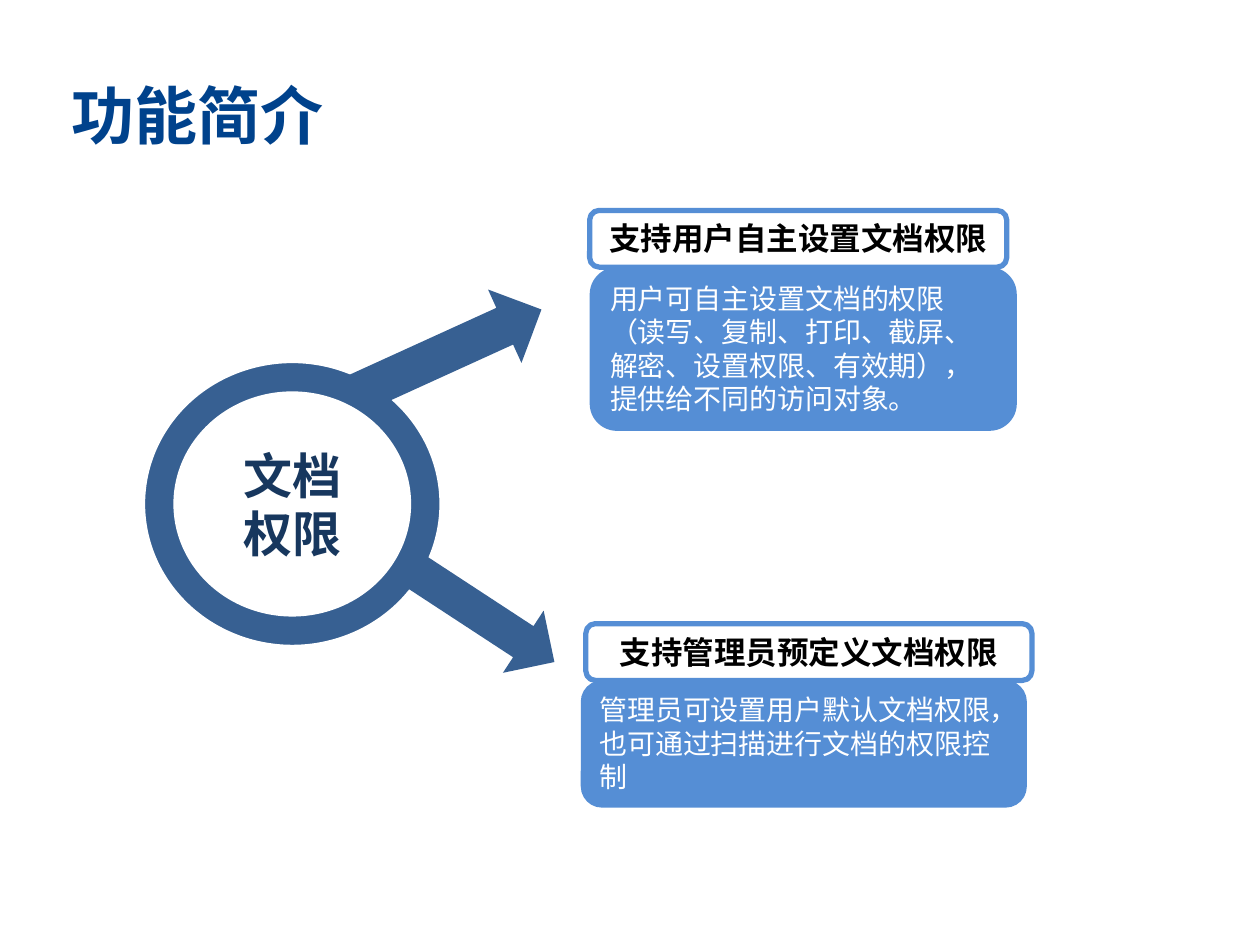
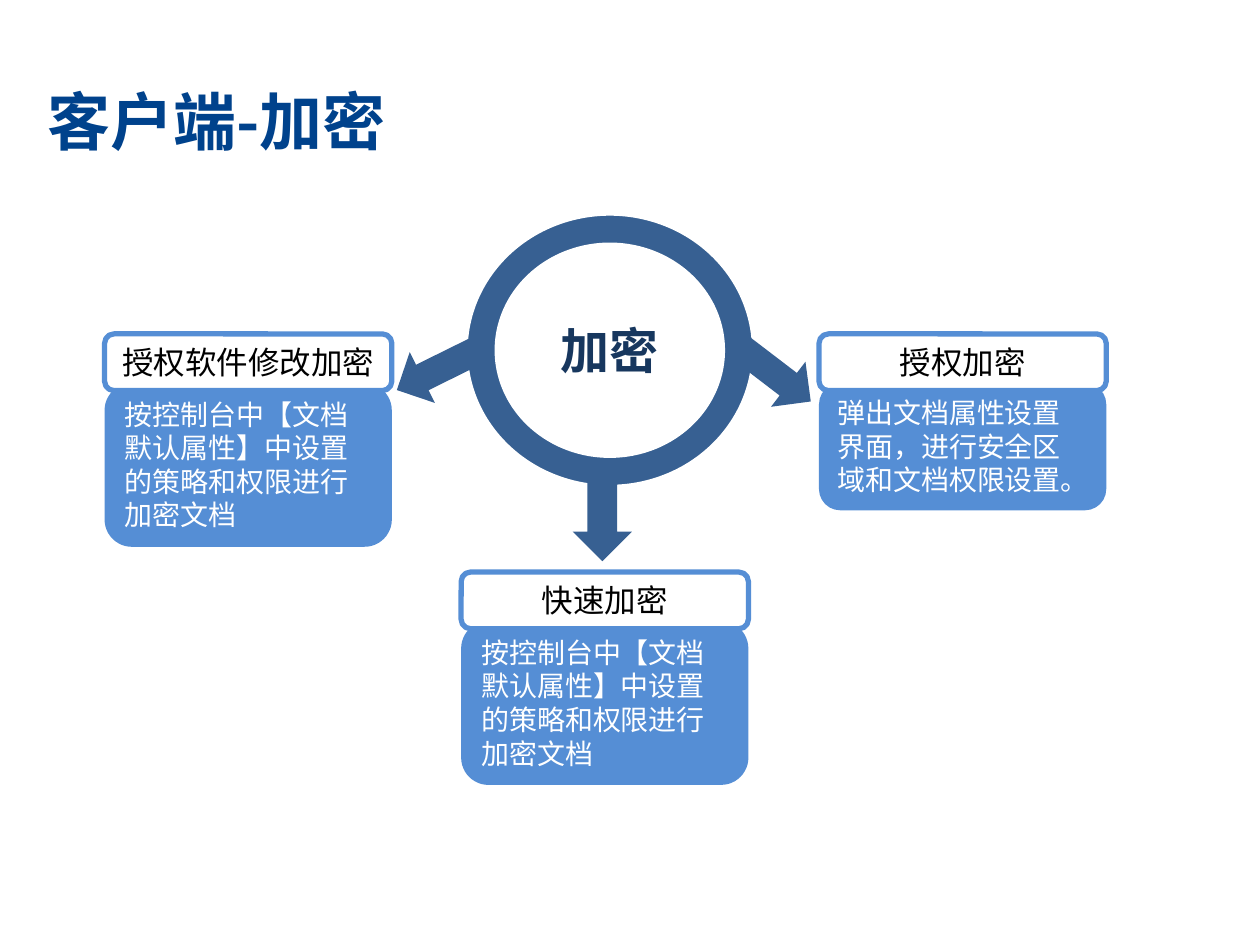
from lxml import etree
from pptx import Presentation
from pptx.dml.color import RGBColor
from pptx.enum.shapes import MSO_SHAPE
from pptx.enum.text import MSO_ANCHOR, PP_ALIGN
from pptx.oxml.ns import qn
from pptx.util import Inches, Pt

WIDE, HIGH = Inches(10), Inches(7.5)
CELL = WIDE / 100  # the slide is a grid of 100 columns by 75 rows

DEEP = RGBColor(0x37, 0x60, 0x92)
SKY = RGBColor(0x55, 0x8E, 0xD5)
NAVY = RGBColor(0x17, 0x37, 0x5E)
ROYAL = RGBColor(0x00, 0x42, 0x8C)
WHITE = RGBColor(0xFF, 0xFF, 0xFF)
BLACK = RGBColor(0x00, 0x00, 0x00)

HEAVY = "Noto Sans CJK SC"
PLAIN = "DejaVu Sans"
LATIN = "Arial"

DONUT = MSO_SHAPE.DONUT
ARROW = MSO_SHAPE.RIGHT_ARROW
ROUND = MSO_SHAPE.ROUNDED_RECTANGLE
TOP, MIDDLE = MSO_ANCHOR.TOP, MSO_ANCHOR.MIDDLE
LEFT, CENTER = PP_ALIGN.LEFT, PP_ALIGN.CENTER

HEAD_ROWS = 4.5


def grid(*cells):
    return [round(n * CELL) for n in cells]


def write(shape, lines, face, size, color, bold=False, align=LEFT,
          anchor=TOP, wrap=True):
    frame = shape.text_frame
    frame.word_wrap = wrap
    frame.vertical_anchor = anchor
    frame.text = "\n".join(lines)
    for para in frame.paragraphs:
        para.alignment = align
        font = para.font
        font.name, font.size, font.bold = face, Pt(size), bold
        font.color.rgb = color
        # Chinese text takes its font from a:ea
        props = para._p.pPr.find(qn("a:defRPr"))
        etree.SubElement(props, qn("a:ea"), typeface=face)


def draw(slide, kind, box, fill, line=None, weight=0):
    shape = slide.shapes.add_shape(kind, *grid(*box))
    shape.shadow.inherit = False
    shape.fill.solid()
    shape.fill.fore_color.rgb = fill
    if line is None:
        shape.line.fill.background()
    else:
        shape.line.color.rgb = line
        shape.line.width = Pt(weight)
    return shape


def title(slide, text, col, row):
    box = slide.shapes.add_textbox(*grid(col, row, 90, 7.1))
    write(box, [text], HEAVY, 36, ROYAL, bold=True, anchor=MIDDLE)


def hub(slide, lines, box):
    ring = draw(slide, DONUT, box, DEEP, WHITE, 1.75)
    ring.adjustments[0] = 0.11
    write(ring, lines, LATIN, 28, NAVY, bold=True, align=CENTER,
          anchor=MIDDLE, wrap=False)


def arrow(slide, box, angle):
    draw(slide, ARROW, box, DEEP).rotation = angle


def card(slide, head, body, top, base, bold=False):
    """Blue body in box base, under a white header at top (col, row, width)."""
    block = draw(slide, ROUND, base, SKY)
    write(block, [body], PLAIN, 16, WHITE)
    label = draw(slide, ROUND, (*top, HEAD_ROWS), WHITE, SKY, 3)
    write(label, [head], PLAIN, 18, BLACK, bold=bold, align=CENTER)


def rights(slide):
    title(slide, "功能简介", 4.7, 5.5)
    hub(slide, ["文档", "权限"], (11.4, 28.7, 23.6, 22.6))
    arrow(slide, (27.6, 24.7, 16.1, 6.4), 335.5)
    arrow(slide, (31.6, 45.9, 13.5, 5.9), 33.2)
    card(slide, "支持管理员预定义文档权限",
         "管理员可设置用户默认文档权限，也可通过扫描进行文档的权限控制",
         (46.5, 49.5, 35.4), (46.1, 54, 35.4, 10.1), bold=True)
    card(slide, "支持用户自主设置文档权限",
         "用户可自主设置文档的权限（读写、复制、打印、截屏、解密、设置权限、"
         "有效期），提供给不同的访问对象。",
         (46.8, 16.7, 33.1), (46.8, 21.2, 33.9, 13), bold=True)


def client(slide):
    hub(slide, ["加密"], (37, 17, 22.8, 21.6))
    arrow(slide, (57.8, 27.4, 7.3, 4.5), 37.4)
    arrow(slide, (44.5, 38.9, 6.6, 4.7), 90)
    arrow(slide, (31.1, 27, 7.7, 4.5), 153.7)
    policy = "按控制台中【文档默认属性】中设置的策略和权限进行加密文档"
    prompt = "弹出文档属性设置界面，进行安全区域和文档权限设置。"
    wide, drop = 22.8, 3.9
    for head, body, col, row, rows in (
            ("授权加密", prompt, 65, 26.5, 10.1),
            ("快速加密", policy, 36.6, 45.4, 13),
            ("授权软件修改加密", policy, 8.3, 26.5, 13)):
        card(slide, head, body, (col, row, wide),
             (col, row + drop, wide, rows))
    title(slide, "客户端-加密", 2.8, 6)


def main():
    deck = Presentation()
    deck.slide_width, deck.slide_height = WIDE, HIGH
    blank = deck.slide_layouts[6]
    for build in (rights, client):
        build(deck.slides.add_slide(blank))
    deck.save("out.pptx")


if __name__ == "__main__":
    main()
